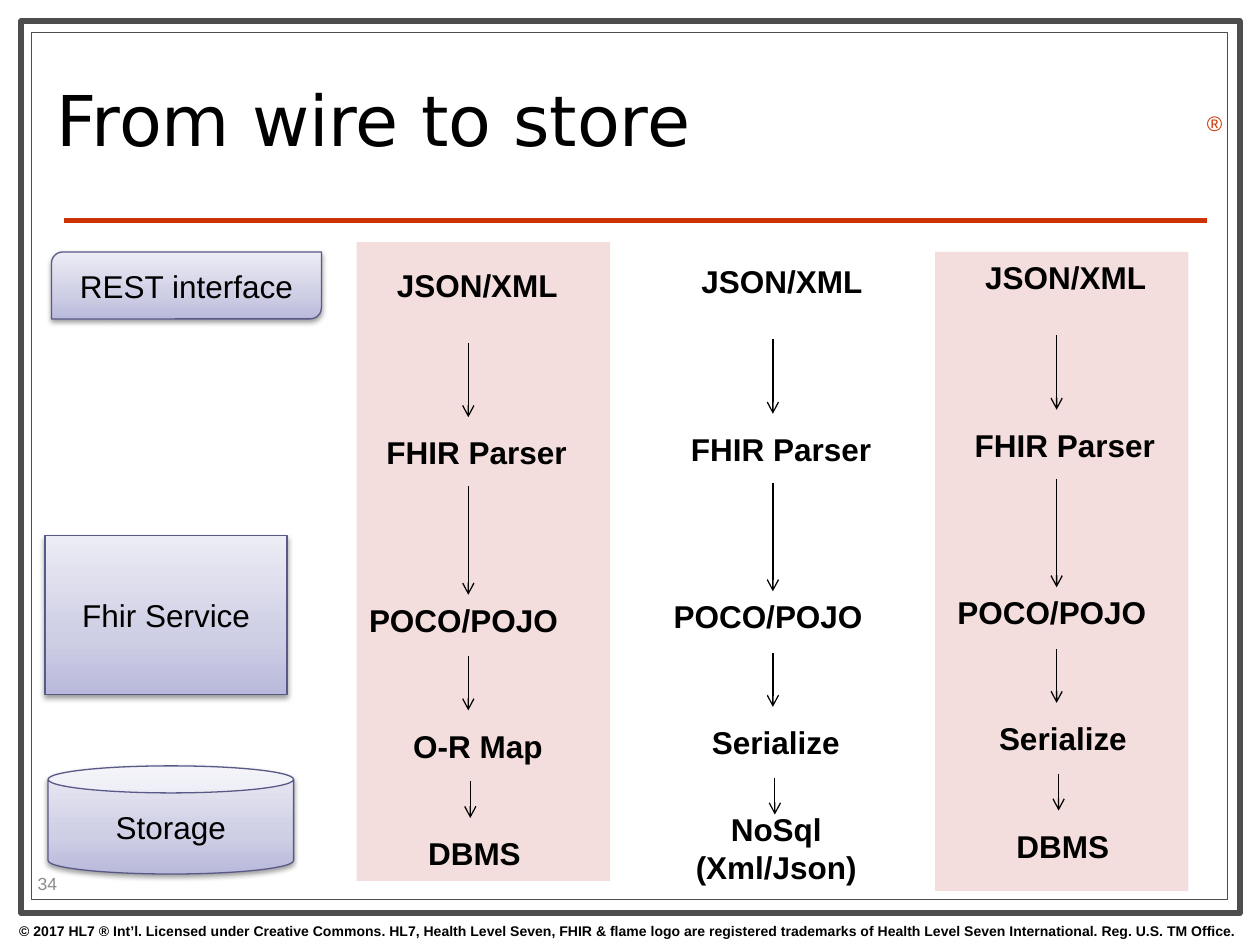
from copy import deepcopy

from lxml import etree
from pptx import Presentation
from pptx import util as u
from pptx.dml import color as dml
from pptx.enum import shapes as kinds, text as te
from pptx.oxml import ns

GEO = kinds.MSO_SHAPE
MID = te.MSO_ANCHOR.MIDDLE
LEFT, CENTER = te.PP_ALIGN.LEFT, te.PP_ALIGN.CENTER
STEP_TOPS = [0, 3.38, 6.76, 9.3, 11.46]
ARROWS = [(2.25, 1.68, 3.18), (2.25, 4.57, 6.76), (2.25, 8, 9.09), (2.29, 10.52, 11.26)]
HEAD = [("JSON/XML", 0.56, 3.78), ("FHIR Parser", 0.35, 4.19), ("POCO/POJO", 0, 4.65)]
FLOWS = [
    (7.19, 5.23, [("O-R Map", 0.89, 3.15), ("DBMS", 1.19, 2.41)]),
    (13.33, 5.16, [("Serialize", 0.77, 3.12), ("NoSql\n(Xml/Json)", 0.43, 3.78)]),
    (19.05, 5.08, [("Serialize", 0.84, 3.12), ("DBMS", 1.19, 2.41)]),
]
LAYERS = [
    (GEO.CAN, "Storage", (0.97, 15.44, 4.95, 2.18)),
    (GEO.RECTANGLE, "Fhir Service", (0.91, 10.8, 4.88, 3.2)),
    (GEO.ROUND_2_DIAG_RECTANGLE, "REST interface", (1.04, 5.08, 5.44, 1.35)),
]


def rgb(code):
    return dml.RGBColor.from_string(code)


def cm(box):
    return [u.Cm(v) for v in box]


def write(frame, words, size, tint="000000", bold=False, align=LEFT, face="Arial"):
    para = frame.paragraphs[0]
    para.alignment = align
    for i, line in enumerate(words.split("\n")):
        if i:
            para.add_line_break()
        run = para.add_run()
        run.text = line
        font = run.font
        font.name, font.size, font.bold = face, u.Pt(size), bold
        font.color.rgb = rgb(tint)
    return para


def label(home, box, words, size, wrap=True, anchor=te.MSO_ANCHOR.TOP, **style):
    frame = home.add_textbox(*cm(box)).text_frame
    frame.word_wrap = wrap
    frame.vertical_anchor = anchor
    write(frame, words, size, **style)


def panel(home, box, fill, edge=None, width=0.75, kind=GEO.RECTANGLE):
    shape = home.add_shape(kind, *cm(box))
    shape.shadow.inherit = False
    if fill:
        shape.fill.solid()
        shape.fill.fore_color.rgb = rgb(fill)
    if edge:
        shape.line.color.rgb = rgb(edge)
        shape.line.width = u.Pt(width)
    else:
        shape.line.fill.background()
    return shape


def rule(home, start, end, tint, width, arrow=False):
    line = home.add_connector(kinds.MSO_CONNECTOR.STRAIGHT, *cm(start + end))
    line.line.color.rgb = rgb(tint)
    line.line.width = u.Pt(width)
    props = line._element.spPr
    if arrow:
        etree.SubElement(props.find(ns.qn("a:ln")), ns.qn("a:tailEnd"), type="arrow")
    etree.SubElement(props, ns.qn("a:effectLst"))


def frame(home):
    panel(home, (0.43, 0.43, 24.56, 17.98), "FFFFFF", "4D4D4D", 3.5)
    panel(home, (0.64, 0.66, 24.1, 17.48), "FFFFFF", "4D4D4D")
    rule(home, (1.3, 4.45), (24.33, 4.45), "CC3300", 3)
    label(home, (-0.03, 18.47, 25.4, 0.58),
          "© 2017 HL7 ® Int’l. Licensed under Creative Commons. HL7, Health Level Seven, "
          "FHIR & flame logo are registered trademarks of Health Level Seven International. "
          "Reg. U.S. TM Office.", 8, bold=True, align=CENTER)
    label(home, (24.08, 2.11, 0.79, 0.76), "®", 12, tint="CC3300")


def heading(title, box, words):
    title.left, title.top, title.width, title.height = cm(box)
    body = title.text_frame
    body.auto_size = te.MSO_AUTO_SIZE.NONE
    body.vertical_anchor = MID
    write(body, words, 40, face="DejaVu Sans").line_spacing = 0.8


def layer(home, kind, words, box):
    shape = panel(home, box, None, "595988", kind=kind)
    shape.fill.gradient()
    shape.fill.gradient_angle = 90
    props = shape._element.spPr
    stops = props.find(".//" + ns.qn("a:gsLst"))
    stops.append(deepcopy(stops[-1]))
    shades = [(0, "B9B9DB"), (0.35, "CECEE5"), (1, "ECECF5")]
    for stop, (place, tint) in zip(shape.fill.gradient_stops, shades):
        stop.position = place
        stop.color.rgb = rgb(tint)
    glow = etree.SubElement(props.find(ns.qn("a:effectLst")), ns.qn("a:outerShdw"),
                            blurRad="40000", dist="20000", dir="5400000", rotWithShape="0")
    shade = etree.SubElement(glow, ns.qn("a:srgbClr"), val="000000")
    etree.SubElement(shade, ns.qn("a:alpha"), val="38000")
    shape.text_frame.vertical_anchor = MID
    write(shape.text_frame, words, 18, align=CENTER)


def flow(home, left, top, tail):
    group = home.add_group_shape().shapes
    for (words, x, width), y in zip(HEAD + tail, STEP_TOPS):
        two = "\n" in words
        box = (left + x, top + y - 0.41 * two, width, 1.8 if two else 1.03)
        label(group, box, words, 18, wrap=words == "POCO/POJO", bold=True,
              align=CENTER if two else LEFT)
    for x, start, end in ARROWS:
        rule(group, (left + x, top + start), (left + x, top + end), "000000", 0.75, True)


def main():
    deck = Presentation()
    deck.slide_width, deck.slide_height = cm((25.4, 19.05))
    slide = deck.slides.add_slide(deck.slide_layouts[5])
    home, title = slide.shapes, slide.shapes.title
    frame(home)
    for left, top in [(7.19, 4.88), (18.85, 5.08)]:
        panel(home, (left, top, 5.11, 12.88), "F3DEDD")
    home._spTree.append(title._element)
    heading(title, (0.89, 0.91, 18.21, 3.28), "From wire to store")
    for kind, words, box in LAYERS:
        layer(home, kind, words, box)
    for left, top, tail in FLOWS:
        flow(home, left, top, tail)
    label(home, (0.51, 17.5, 2.01, 0.61), "34", 10, anchor=MID, tint="8C8C8C")
    deck.save("out.pptx")


if __name__ == "__main__":
    main()
